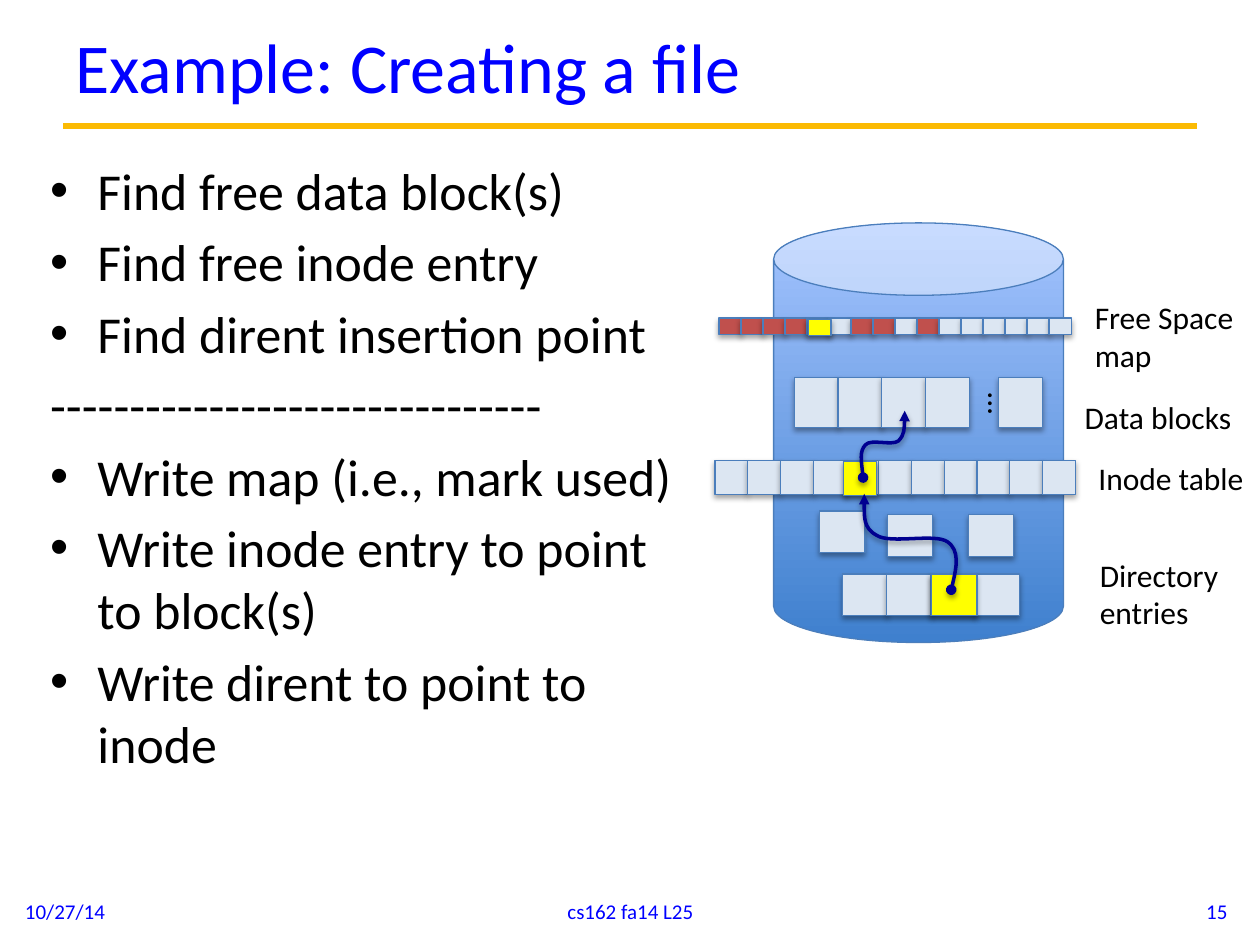
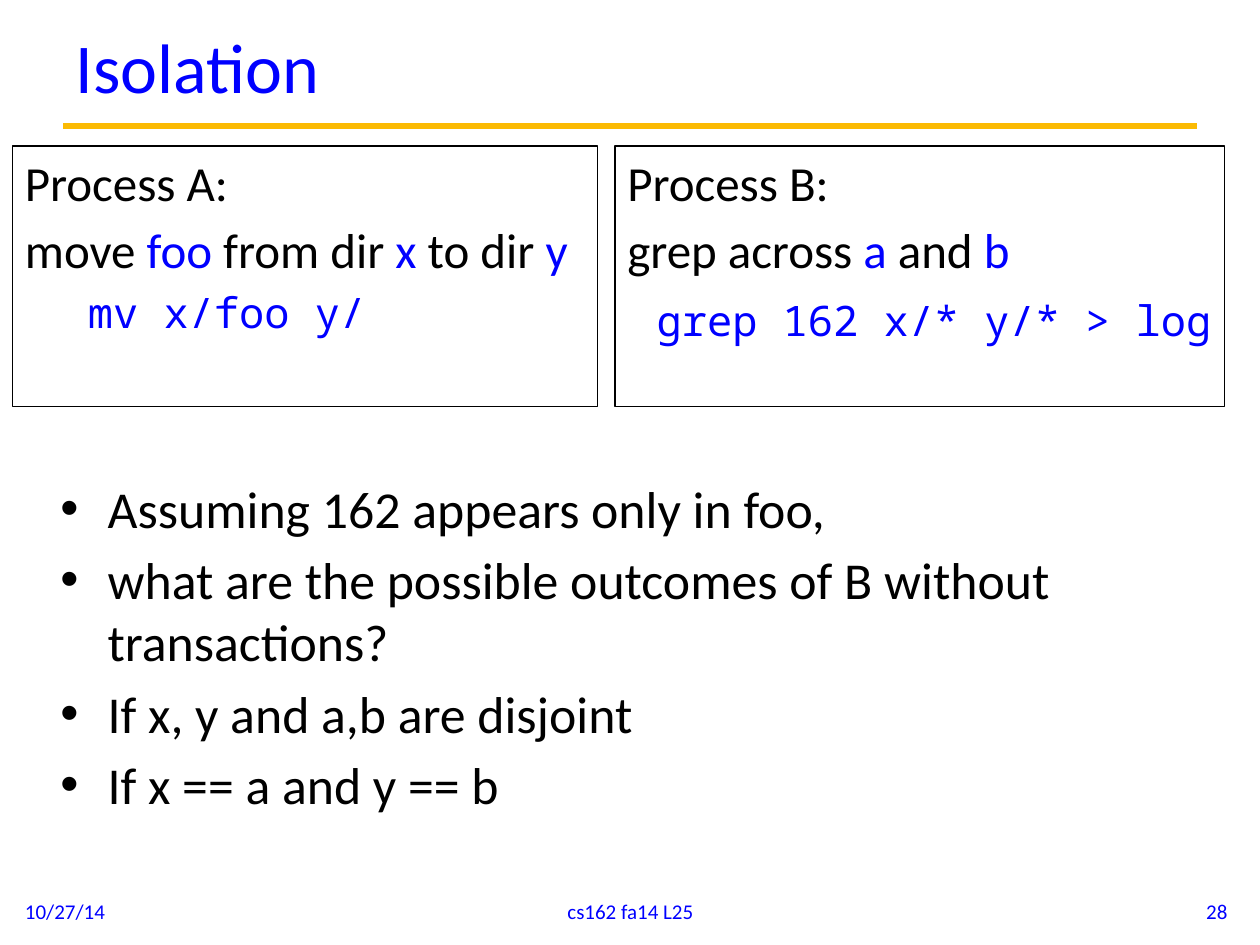
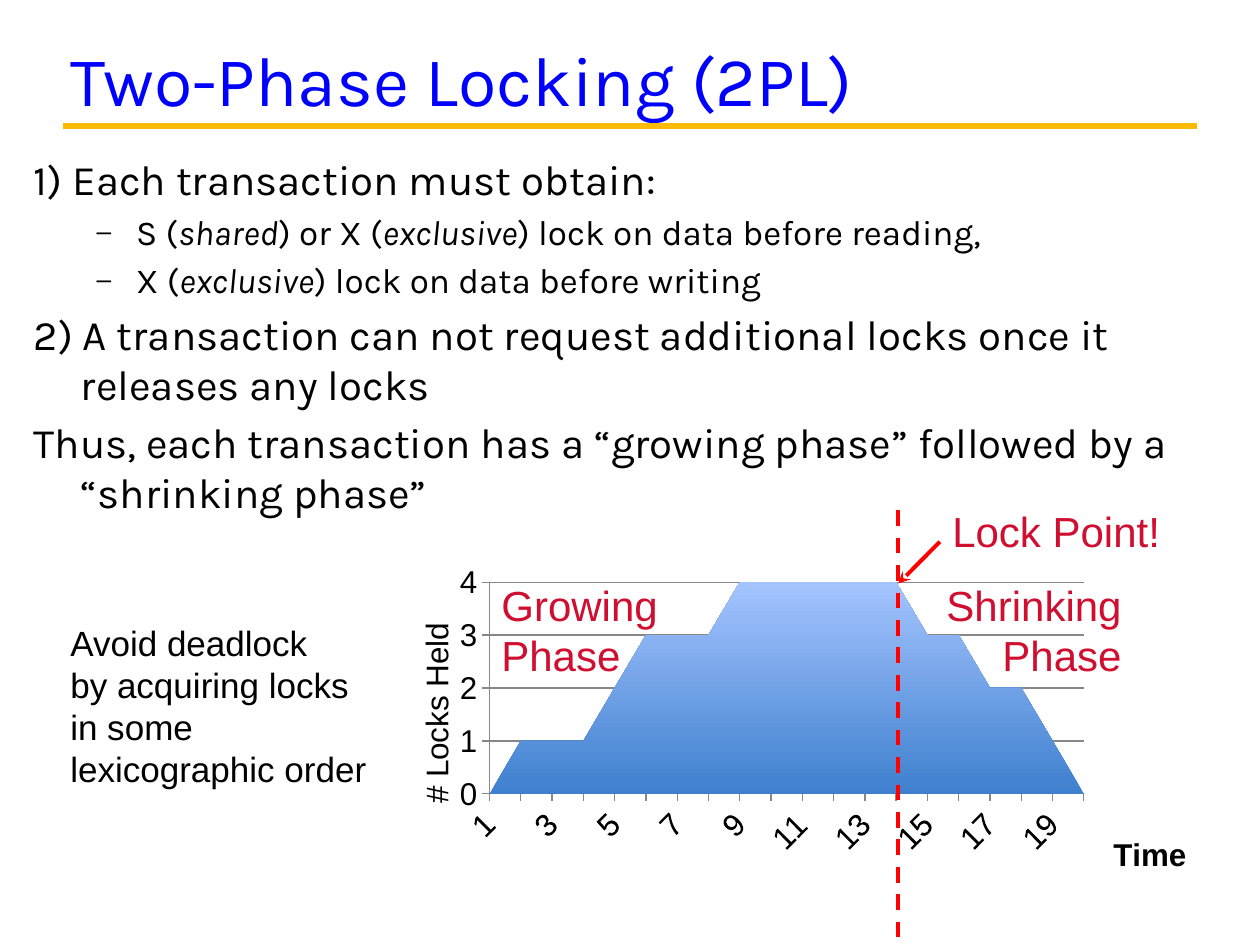
import pptx
import pptx.chart.data
import pptx.dml.color
import pptx.enum.chart
import pptx.enum.dml
import pptx.enum.shapes
import pptx.enum.text
import pptx.oxml
import pptx.oxml.ns
import pptx.util

Pt = pptx.util.Pt
SHAPE = pptx.enum.shapes.MSO_SHAPE
ALIGN = pptx.enum.text.PP_ALIGN
ANCHOR = pptx.enum.text.MSO_ANCHOR

BLUE, BLACK, GOLD, RED = "0000FF", "000000", "FBBA03", "FF0000"
CRIMSON, NAVY, OUTLINE, GRID = "CF0E30", "000090", "4B7EBC", "878787"
FREE, USED, CHOSEN = "DCE6F2", "C0504D", "FFFF00"
DEPTH = ("3F80CE", "A4C4FF")
MONO = "Noto Sans Mono"

TITLE_BOX = (36, 2.9, 648, 69.1)
HANG = {"marL": 27, "indent": -27}
SUB_HANG = {"marL": 58.5, "indent": -22.5}


def rgb(value):
    return pptx.dml.color.RGBColor.from_string(value)


def set_values(target, values):
    for name, value in values.items():
        if name == "color":
            target.color.rgb = rgb(value)
        else:
            setattr(target, name, value)


def font_of(name, size, color=BLACK, **more):
    return {"name": name, "size": Pt(size), "color": color, **more}


def add_xml(parent, markup):
    namespaces = pptx.oxml.ns.nsdecls("a")
    parent.append(pptx.oxml.parse_xml(markup.replace("NS", namespaces, 1)))


def item(*runs, bullet=None, bullet_size=100, hang=None, gap=True, font=None, align=ALIGN.LEFT):
    return {"runs": runs, "bullet": bullet, "bullet_size": bullet_size, "hang": hang,
            "gap": gap, "font": font or {}, "align": align}


def bullets(*texts):
    return [item(text, bullet="•", hang=HANG) for text in texts]


def write_item(paragraph, entry, font):
    font = {**font, **entry["font"]}
    paragraph.alignment = entry["align"]
    if entry["gap"]:
        paragraph.space_before = Pt(round(font["size"].pt * 0.18, 1))
    properties = paragraph._p.get_or_add_pPr()
    for name, value in (entry["hang"] or {}).items():
        properties.set(name, str(Pt(value)))
    if entry["bullet"]:
        add_xml(properties, f'<a:buSzPct NS val="{entry["bullet_size"] * 1000}"/>')
        add_xml(properties, '<a:buFont NS typeface="Arial"/>')
        add_xml(properties, f'<a:buChar NS char="{entry["bullet"]}"/>')
    for run_entry in entry["runs"]:
        text, changes = (run_entry, {}) if isinstance(run_entry, str) else run_entry
        for index, line in enumerate(text.split("\n")):
            if index:
                paragraph.add_line_break()
            run = paragraph.add_run()
            run.text = line
            set_values(run.font, {**font, **changes})


def write_text(frame, entries, font, **frame_values):
    set_values(frame, {"word_wrap": True, "vertical_anchor": ANCHOR.TOP, **frame_values})
    for index, entry in enumerate(entries):
        paragraph = frame.add_paragraph() if index else frame.paragraphs[0]
        write_item(paragraph, entry, font)


def add_text(slide, box, entries, font, **frame_values):
    text_box = slide.shapes.add_textbox(*map(Pt, box))
    write_text(text_box.text_frame, entries, font, **frame_values)
    return text_box


def add_label(slide, box, lines, font, align=ALIGN.LEFT, wrap=False):
    entries = [item(line, gap=False, align=align) for line in lines]
    fit = pptx.enum.text.MSO_AUTO_SIZE.SHAPE_TO_FIT_TEXT
    return add_text(slide, box, entries, font, word_wrap=wrap, auto_size=fit)


def add_line(slide, start, end, color, width, dash=None, tail=None):
    straight = pptx.enum.shapes.MSO_CONNECTOR.STRAIGHT
    connector = slide.shapes.add_connector(straight, *map(Pt, start + end))
    set_values(connector.line, {"color": color, "width": Pt(width), "dash_style": dash})
    if tail:
        add_xml(connector._element.xpath(".//a:ln")[0], f'<a:tailEnd NS type="{tail}"/>')
    add_xml(connector._element.spPr, "<a:effectLst NS/>")


def add_shadow(shape):
    shape.shadow.inherit = False
    add_xml(shape._element.xpath(".//a:effectLst")[0],
            f'<a:outerShdw NS blurRad="{Pt(3.1)}" dist="{Pt(1.8)}" dir="5400000" rotWithShape="0">'
            '<a:srgbClr val="000000"><a:alpha val="35000"/></a:srgbClr></a:outerShdw>')


def fill_gradient(fill):
    fill.gradient()
    fill.gradient_angle = 90
    for stop, color in zip(fill.gradient_stops, DEPTH):
        stop.color.rgb = rgb(color)


def add_shape(slide, kind, box, line):
    shape = slide.shapes.add_shape(kind, *map(Pt, box))
    shape.shadow.inherit = False
    set_values(shape.line, {"color": line, "width": Pt(0.75)})
    return shape


def add_cell(slide, left, top, size, color=FREE):
    cell = add_shape(slide, SHAPE.RECTANGLE, (left, top, *size), OUTLINE)
    cell.fill.solid()
    cell.fill.fore_color.rgb = rgb(color)
    add_shadow(cell)


def add_row(slide, left, top, size, pitch, colors):
    for index, color in enumerate(colors):
        add_cell(slide, left + index * pitch, top, size, color)


def add_pointer(slide, points):
    start, *rest = [tuple(map(Pt, point)) for point in points]
    builder = slide.shapes.build_freeform(*start)
    builder.add_line_segments(rest, close=False)
    pointer = builder.convert_to_shape()
    pointer.fill.background()
    set_values(pointer.line, {"color": NAVY, "width": Pt(2)})
    outline = pointer._element.xpath(".//a:custGeom//a:path")[0]
    segments = outline.xpath("a:lnTo")
    for first in range(0, len(segments), 3):
        add_xml(outline, "<a:cubicBezTo NS/>")
        for segment in segments[first:first + 3]:
            outline[-1].append(segment[0])
            outline.remove(segment)
    stroke = pointer._element.xpath(".//a:ln")[0]
    add_xml(stroke, '<a:headEnd NS type="oval"/>')
    add_xml(stroke, '<a:tailEnd NS type="triangle"/>')
    add_shadow(pointer)


def add_slide(deck, title, page=None, box=TITLE_BOX, face="Calibri"):
    slide = deck.slides.add_slide(deck.slide_layouts[5])
    set_values(slide.shapes.title, dict(zip(("left", "top", "width", "height"), map(Pt, box))))
    write_text(slide.shapes.title.text_frame, [item(title, gap=False)],
               font_of(face, 40, BLUE), vertical_anchor=ANCHOR.MIDDLE)
    add_line(slide, (36, 72), (684, 72), GOLD, 3.75)
    if page:
        footers = [(7.2, 167.8, "10/27/14", ALIGN.LEFT),
                   (246.2, 228.2, "cs162 fa14 L25", ALIGN.CENTER),
                   (540.7, 167.8, page, ALIGN.RIGHT)]
        for left, width, text, align in footers:
            add_text(slide, (left, 506.2, width, 28.8), [item(text, gap=False, align=align)],
                     font_of("Calibri", 12, BLUE), vertical_anchor=ANCHOR.MIDDLE)
    return slide


def add_disk(slide):
    disk = add_shape(slide, SHAPE.CAN, (442.1, 127.4, 165.6, 239.8), OUTLINE)
    fill_gradient(disk.fill)
    label_font = font_of("Calibri", 18)
    for box, lines, wrap in [
            ((612.7, 223.9, 99.4, 28.8), ["Data blocks"], False),
            ((618.5, 167, 101.5, 51.1), ["Free Space map"], True),
            ((620.6, 258.5, 98.6, 28.8), ["Inode table"], False),
            ((621.4, 313.9, 83.5, 51.1), ["Directory", "entries"], False)]:
        add_label(slide, box, lines, label_font, wrap=wrap)

    map_cell, block, inode, entry = (13, 9.4), (25.2, 28.8), (18.7, 19.4), (25.9, 23.8)
    add_row(slide, 454, 215.6, block, 24.9, [FREE] * 4)
    add_cell(slide, 570.6, 215.6, block)
    ellipsis = add_label(slide, (545.8, 216, 27.4, 28.8), ["…"], label_font)
    ellipsis.rotation = 270
    space_map = [USED if mark == "#" else FREE for mark in "####..##.#......"]
    add_row(slide, 410.8, 181.8, map_cell, 12.58, space_map)
    add_row(slide, 408.6, 263.2, inode, 18.72, [FREE] * 11)
    add_row(slide, 481.3, 328, entry, 25.2, [FREE] * 4)
    for left, top in [(553.3, 294.1), (468.4, 292), (507.2, 294.1)]:
        add_cell(slide, left, top, entry)

    add_cell(slide, 461.9, 182.5, map_cell, CHOSEN)
    add_cell(slide, 482, 263.9, inode, CHOSEN)
    add_pointer(slide, [(493.2, 272.9), (492.5, 265), (491, 257.8), (494.6, 254.2),
                        (497.5, 250.6), (509.8, 254.9), (513.4, 252),
                        (517, 248.4), (517, 241), (517, 234.7)])
    add_cell(slide, 532.4, 328, entry, CHOSEN)
    add_pointer(slide, [(543.6, 337), (546.5, 325.4), (548.6, 314.6), (541.4, 309.6),
                        (534.2, 304.6), (509, 311), (501.1, 306),
                        (493.2, 301.7), (493.9, 292), (493.9, 282.2)])


def add_process(slide, left, width, entries):
    panel = add_shape(slide, SHAPE.RECTANGLE, (left, 83.5, width, 149), BLACK)
    panel.fill.background()
    write_text(panel.text_frame, entries, font_of("Calibri", 28))


def place(parent, **fractions):
    for layout in parent.xpath("c:layout"):
        parent.remove(layout)
    modes = "".join(f'<c:{axis}Mode val="edge"/>' for axis in "xy")
    target = '<c:layoutTarget val="inner"/>' if "w" in fractions else ""
    values = "".join(f'<c:{name} val="{value}"/>' for name, value in fractions.items())
    layout = pptx.oxml.parse_xml(
        f'<c:layout {pptx.oxml.ns.nsdecls("c")}><c:manualLayout>{target}{modes}{values}'
        '</c:manualLayout></c:layout>')
    parent.insert(len(parent.xpath("c:tx")), layout)


def format_axis(axis, title, bold, **title_place):
    tick = pptx.enum.chart.XL_TICK_MARK
    set_values(axis, {"major_tick_mark": tick.OUTSIDE, "minor_tick_mark": tick.NONE})
    set_values(axis.format.line, {"color": GRID, "width": Pt(0.75)})
    set_values(axis.tick_labels.font, font_of("Arial", 18))
    run = axis.axis_title.text_frame.paragraphs[0].add_run()
    run.text = title
    set_values(run.font, font_of("Arial", 18, bold=bold))
    place(axis.axis_title._element, **title_place)


def add_lock_chart(slide):
    locks_held = [0, 1, 1, 1, 2, 3, 3, 3, 4, 4, 4, 4, 4, 4, 3, 3, 2, 2, 1, 0]
    data = pptx.chart.data.CategoryChartData()
    data.categories = [str(time + 1) for time in range(len(locks_held))]
    data.add_series("Series 1", locks_held)
    chart = slide.shapes.add_chart(pptx.enum.chart.XL_CHART_TYPE.AREA,
                                   *map(Pt, (225.4, 315.4, 455.8, 216)), data).chart
    set_values(chart, {"has_legend": False, "has_title": False})
    set_values(chart.font, font_of("Calibri", 18))
    chart.plots[0].vary_by_categories = False
    fill_gradient(chart.plots[0].series[0].format.fill)

    format_axis(chart.category_axis, "Time", True, x=0.9, y=0.73)
    chart.category_axis._element.xpath("c:txPr/a:bodyPr")[0].set("rot", "-2700000")
    locks = chart.value_axis
    format_axis(locks, "# Locks Held", False, x=0.02, y=0.17)
    locks.axis_title._element.xpath(".//a:bodyPr")[0].set("rot", "-5400000")
    set_values(locks, {"minimum_scale": 0, "maximum_scale": 4, "major_unit": 1,
                       "has_major_gridlines": True})
    set_values(locks.major_gridlines.format.line, {"color": GRID, "width": Pt(0.75)})
    for crossing in locks._element.xpath("c:crossBetween"):
        crossing.set("val", "midCat")
    place(chart._chartSpace.xpath(".//c:plotArea")[0], x=0.12, y=0.08, w=0.75, h=0.56)


def build_creating(deck):
    slide = add_slide(deck, "Example: Creating a file", "15")
    steps = [*bullets("Find free data block(s)", "Find free inode entry",
                      "Find dirent insertion point"),
             item("-" * 31),
             *bullets("Write map (i.e., mark used)", "Write inode entry to point to block(s)",
                      "Write dirent to point to inode")]
    add_text(slide, (21.6, 87.1, 376.6, 401), steps, font_of("Calibri", 29.6))
    add_disk(slide)


def build_isolation(deck):
    slide = add_slide(deck, "Isolation", "28")
    questions = bullets("Assuming 162 appears only in foo,",
                        "what are the possible outcomes of B without transactions?",
                        "If x, y and a,b are disjoint", "If x == a and y == b")
    add_text(slide, (27.4, 268.6, 648, 183.6), questions, font_of("Calibri", 29.6))
    blue = {"color": BLUE}
    code = font_of(MONO, 24, BLUE)
    add_process(slide, 7.2, 334.1, [
        item("Process A:", hang=HANG),
        item("move ", ("foo", blue), " from dir ", ("x", blue), " to dir ", ("y", blue), hang=HANG),
        item("mv x/foo y/", hang=SUB_HANG, font=code)])
    add_process(slide, 351.4, 348.5, [
        item("Process B:", hang=HANG),
        item("grep across ", ("a", blue), " and ", ("b", blue), hang=HANG),
        item((" ", {"name": MONO}), ("grep 162 x/* y/* > log", code), hang=HANG)])


def build_locking(deck):
    slide = add_slide(deck, "Two-Phase Locking (2PL)", box=(33.1, 0, 668.9, 90), face="Karla")
    italic = {"italic": True}
    dash = {"bullet": "–", "bullet_size": 75, "hang": SUB_HANG, "font": {"size": Pt(20)}}
    rules = [
        item("1) Each transaction must obtain:", hang=HANG),
        item("S (", ("shared", italic), ") or X (", ("exclusive", italic),
             ") lock on data before reading,", **dash),
        item("X (", ("exclusive", italic), ") lock on data before writing", **dash),
        item("2) A transaction can not request additional locks once it releases any locks",
             hang=HANG),
        item("Thus, each transaction has a “growing phase” followed by a “shrinking phase”",
             hang=HANG)]
    add_text(slide, (12.2, 84.2, 684, 257.8), rules, font_of("Karla", 24))
    add_lock_chart(slide)
    add_line(slide, (513.4, 291.6), (513.4, 540), RED, 2.25,
             dash=pptx.enum.dml.MSO_LINE.DASH)
    phase = font_of("Arial", 24, CRIMSON)
    add_label(slide, (279.4, 327.6, 104.4, 65.5), ["Growing", "Phase"], phase)
    add_label(slide, (532.1, 327.6, 115.9, 65.5), ["Shrinking", "Phase"], phase, ALIGN.RIGHT)
    add_line(slide, (537.1, 309.6), (513.4, 333.4), RED, 2.25, tail="stealth")
    add_label(slide, (537.1, 285.1, 134.6, 36), ["Lock Point!"], phase)
    add_label(slide, (33.1, 351.4, 185, 104.4),
              ["Avoid deadlock\nby acquiring locks\nin some\nlexicographic order"],
              font_of("Arial", 20))


def main():
    deck = pptx.Presentation()
    set_values(deck, {"slide_width": Pt(720), "slide_height": Pt(540)})
    build_creating(deck)
    build_isolation(deck)
    build_locking(deck)
    deck.save("out.pptx")


if __name__ == "__main__":
    main()
